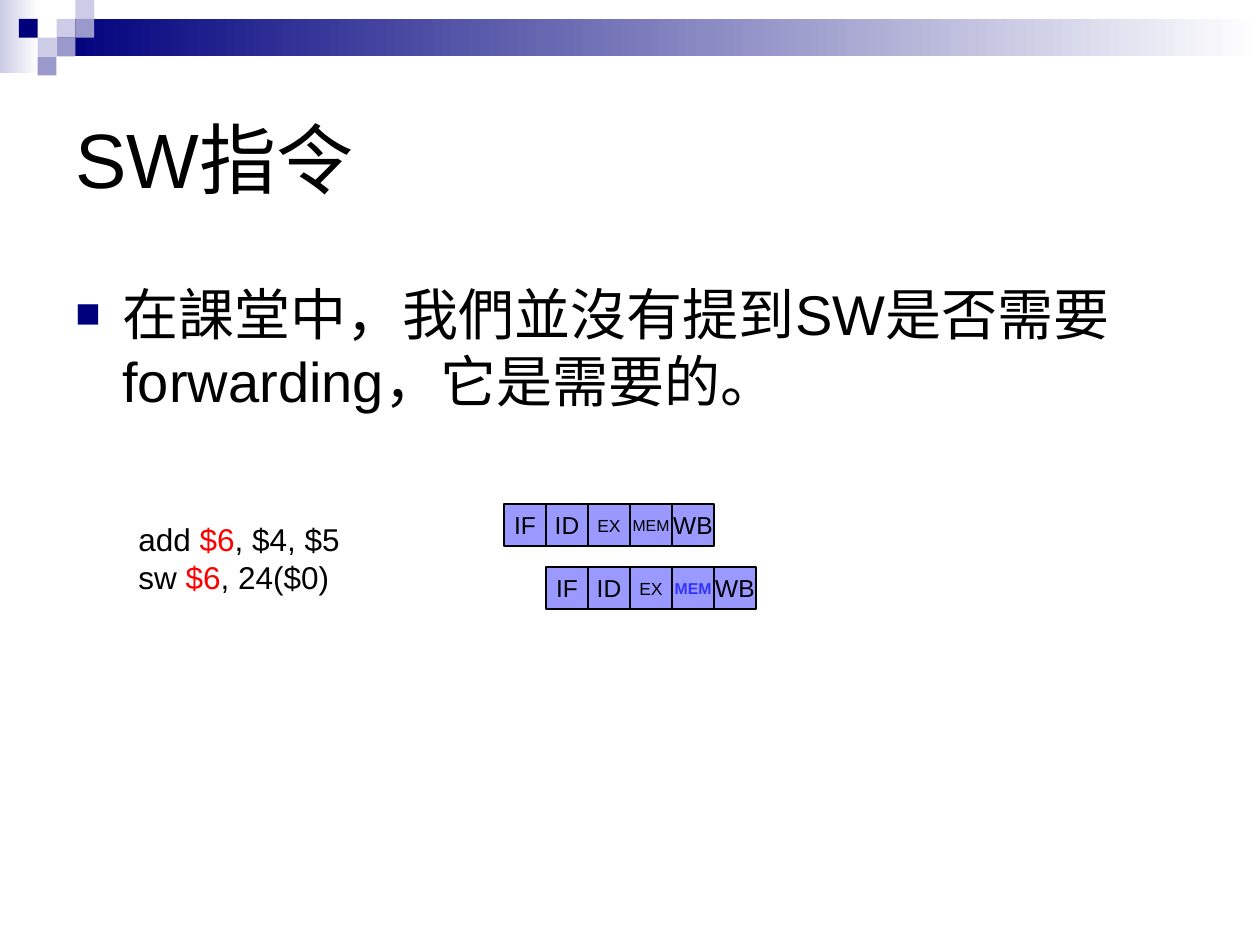
from lxml import etree
from pptx import Presentation
from pptx.dml.color import RGBColor
from pptx.enum.shapes import MSO_SHAPE
from pptx.enum.text import MSO_ANCHOR, PP_ALIGN
from pptx.oxml.ns import qn
from pptx.util import Cm, Pt

RECTANGLE = MSO_SHAPE.RECTANGLE
MIDDLE = MSO_ANCHOR.MIDDLE
TOP = MSO_ANCHOR.TOP
CENTER = PP_ALIGN.CENTER

BLACK = RGBColor(0x00, 0x00, 0x00)
WHITE = RGBColor(0xFF, 0xFF, 0xFF)
RED = RGBColor(0xFF, 0x00, 0x00)
BLUE = RGBColor(0x33, 0x33, 0xFF)
NAVY = RGBColor(0x00, 0x00, 0x7D)
LAVENDER = RGBColor(0xCC, 0xCC, 0xE6)
VIOLET = RGBColor(0x99, 0x99, 0xCC)
STAGE_FILL = RGBColor(0x99, 0x99, 0xFF)

SQUARE = 0.38
CELL = 2.54 / 3
SQUARES = [
    (3, 1, LAVENDER), (4, 0, LAVENDER), (4, 1, VIOLET), (2, 2, LAVENDER),
    (1, 1, NAVY), (3, 2, VIOLET), (2, 3, VIOLET),
]
STAGES = {"IF": 14, "ID": 14, "EX": 10, "MEM": 9, "WB": 14}
CODE = [
    [("add ", BLACK), ("$6", RED), (", $4, $5", BLACK)],
    [("sw ", BLACK), ("$6", RED), (", 24($0)", BLACK)],
]


class SlideBuilder:
    font_name = "Arial"

    def __init__(self, slide):
        self.slide = slide

    def group(self):
        return self.slide.shapes.add_group_shape().shapes

    def rectangle(self, shapes, left, top, width, height, color):
        shape = shapes.add_shape(RECTANGLE, Cm(left), Cm(top), Cm(width), Cm(height))
        shape.shadow.inherit = False
        shape.line.fill.background()
        shape.fill.solid()
        shape.fill.fore_color.rgb = color
        return shape

    def gradient(self, shapes, left, top, width, height, start):
        fill = self.rectangle(shapes, left, top, width, height, start).fill
        fill.gradient()
        fill.gradient_angle = 0
        for stop, color in zip(fill.gradient_stops, (start, WHITE)):
            stop.color.rgb = color

    def run(self, paragraph, text, size, color=BLACK, bold=False):
        run = paragraph.add_run()
        run.text = text
        run.font.color.rgb = color
        formats = {"name": self.font_name, "size": Pt(size), "bold": bold}
        for name, value in formats.items():
            setattr(run.font, name, value)

    def text(self, left, top, width, height, lines, size, anchor=TOP):
        shape = self.slide.shapes.add_textbox(Cm(left), Cm(top), Cm(width), Cm(height))
        frame = shape.text_frame
        frame.word_wrap = True
        frame.vertical_anchor = anchor
        for index, line in enumerate(lines):
            paragraph = frame.add_paragraph() if index else frame.paragraphs[0]
            for text, color in line:
                self.run(paragraph, text, size, color)
        return frame

    def bullet(self, paragraph, color, indent):
        paragraph.space_before = Pt(6.4)
        properties = paragraph._p.get_or_add_pPr()
        properties.set("marL", str(Cm(indent)))
        properties.set("indent", str(-Cm(indent)))
        bullet_color = etree.SubElement(properties, qn("a:buClr"))
        etree.SubElement(bullet_color, qn("a:srgbClr"), val=str(color))
        etree.SubElement(properties, qn("a:buSzPct"), val="75000")
        etree.SubElement(properties, qn("a:buFont"), typeface=self.font_name)
        etree.SubElement(properties, qn("a:buChar"), char="■")

    def stage(self, shapes, left, top, label, size, color, bold):
        shape = self.rectangle(shapes, left, top, CELL, CELL, STAGE_FILL)
        shape.line.color.rgb = BLACK
        shape.line.width = Pt(0.75)
        frame = shape.text_frame
        frame.word_wrap = False
        frame.vertical_anchor = MIDDLE
        paragraph = frame.paragraphs[0]
        paragraph.alignment = CENTER
        self.run(paragraph, label, size, color, bold)

    def pipeline(self, left, top, highlight=None):
        shapes = self.group()
        for index, (label, size) in enumerate(STAGES.items()):
            marked = label == highlight
            color = BLUE if marked else BLACK
            self.stage(shapes, left + index * CELL, top, label, size, color, marked)

    def header(self):
        shapes = self.group()
        self.gradient(shapes, 0, 0, 0.79, 1.47, LAVENDER)
        self.gradient(shapes, 3 * SQUARE, SQUARE, 25.4 - 3 * SQUARE, 0.76, NAVY)
        for column, row, color in SQUARES:
            self.rectangle(shapes, column * SQUARE, row * SQUARE, SQUARE, SQUARE, color)


def main():
    presentation = Presentation()
    presentation.slide_width = Cm(25.4)
    presentation.slide_height = Cm(19.05)
    builder = SlideBuilder(presentation.slides.add_slide(presentation.slide_layouts[6]))
    builder.header()
    builder.text(1.27, 1.27, 22.86, 3.81, [[("SW指令", BLACK)]], 44, MIDDLE)
    statement = "在課堂中，我們並沒有提到SW是否需要forwarding，它是需要的。"
    body = builder.text(1.27, 5.51, 22.86, 10.8, [[(statement, BLACK)]], 32)
    builder.bullet(body.paragraphs[0], NAVY, 0.95)
    builder.text(2.54, 10.36, 12.7, 1.8, CODE, 18)
    builder.pipeline(10.16, 10.16)
    builder.pipeline(10.16 + CELL, 11.43, "MEM")
    presentation.save("out.pptx")


if __name__ == "__main__":
    main()
